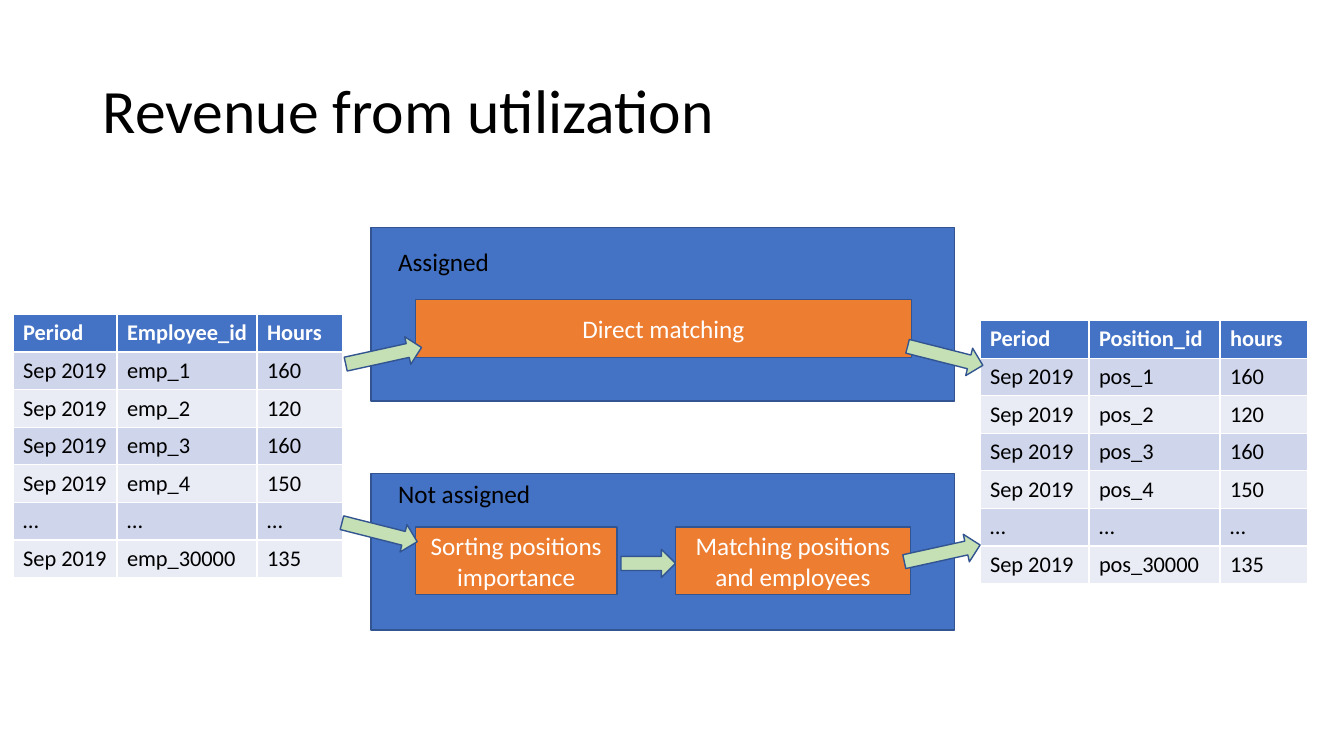
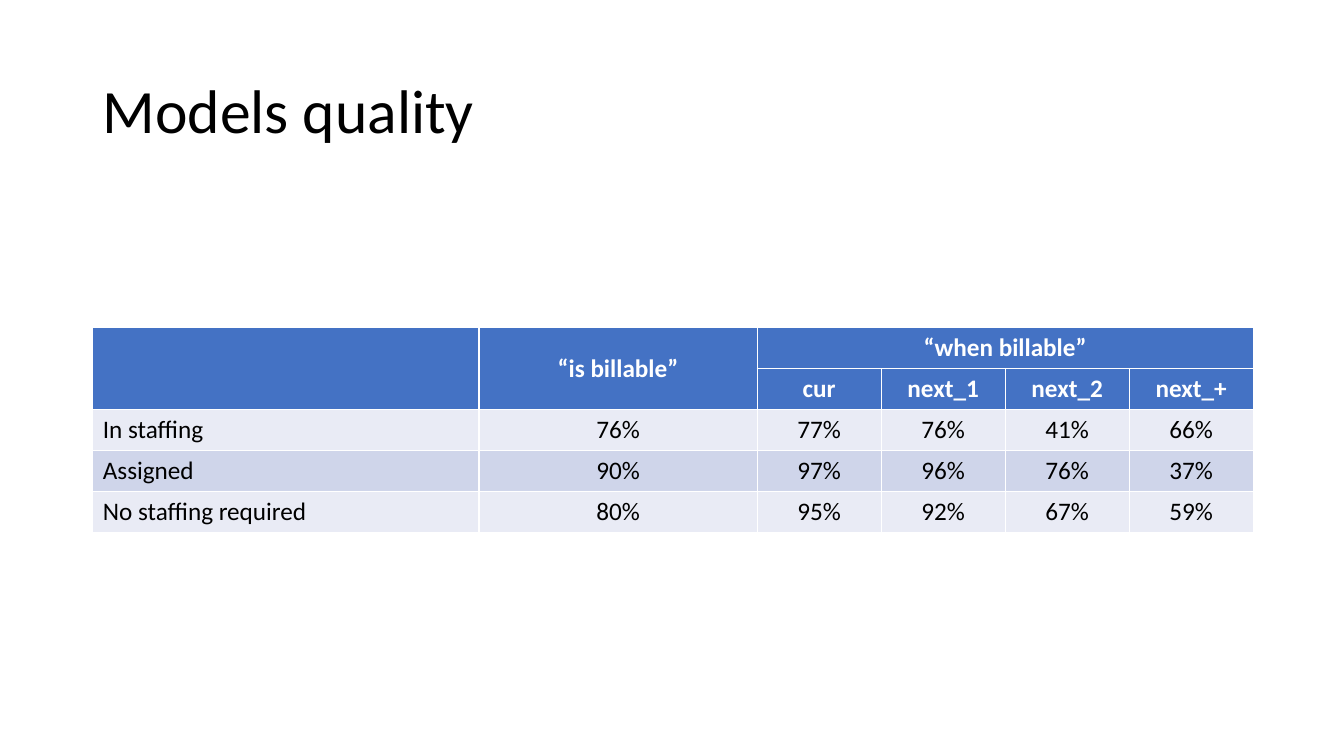
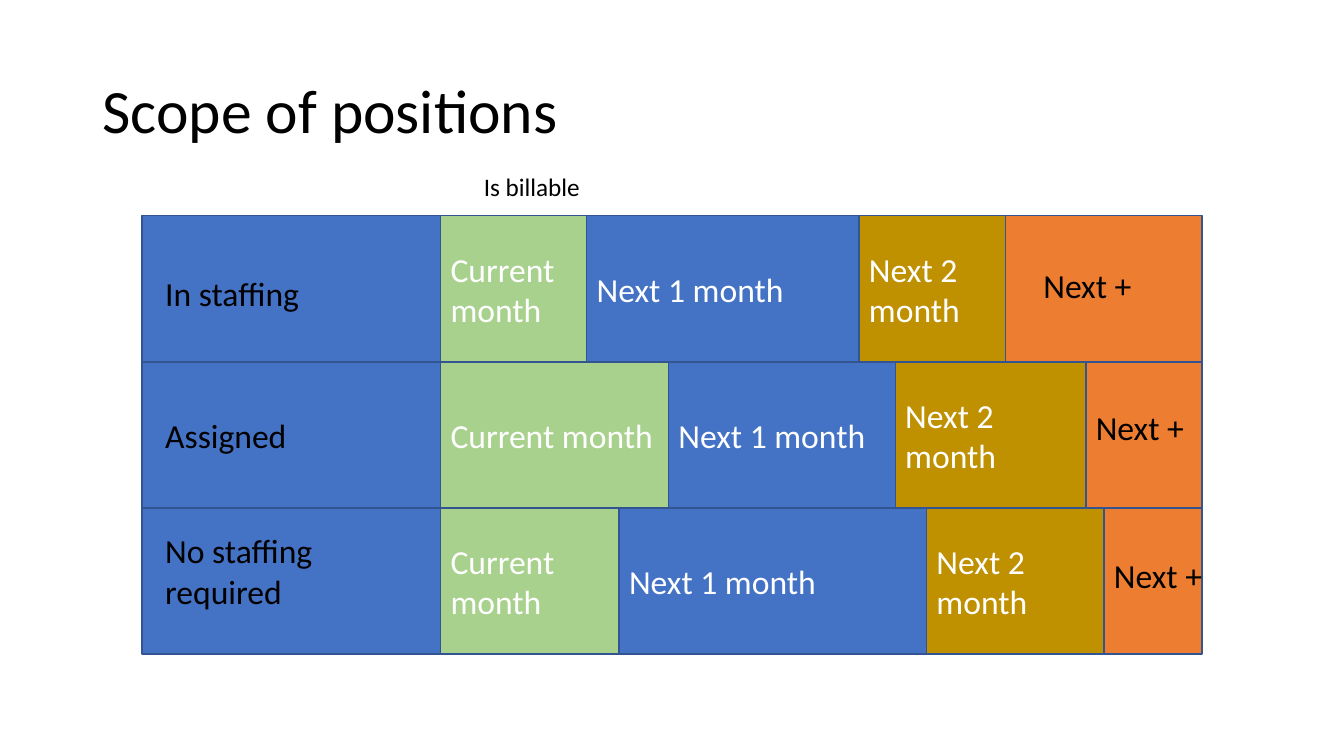
from pptx import Presentation
from pptx.dml.color import RGBColor
from pptx.enum.shapes import MSO_SHAPE as SHAPE
from pptx.enum.text import MSO_ANCHOR as ANCHOR, PP_ALIGN as ALIGN
from pptx.util import Inches, Pt

rgb = RGBColor.from_string
BLACK, WHITE = "000000", "FFFFFF"
BLUE, ORANGE, GOLD, GREEN = "4472C4", "ED7D31", "BF9000", "A9D18E"
PALE_GREEN, OUTLINE = "C5E0B4", "325491"
BANDS = ["CFD5EA", "E9EBF5"]


def write(tf, text, size=18, color=BLACK, bold=False, align=ALIGN.LEFT,
          anchor=ANCHOR.TOP, spacing=1.0):
    tf.word_wrap = True
    tf.vertical_anchor = anchor
    p = tf.paragraphs[0]
    p.alignment = align
    p.line_spacing = spacing
    r = p.add_run()
    r.text = text
    r.font.name = "Calibri"
    r.font.size = Pt(size)
    r.font.bold = bold
    r.font.color.rgb = rgb(color)


def add_box(s, at, fill=None, text="", kind=SHAPE.RECTANGLE, **fmt):
    """Filled shape, or a plain text box when there is no fill."""
    at = [Inches(v) for v in at]
    if fill:
        sp = s.shapes.add_shape(kind, *at)
        sp.shadow.inherit = False
        sp.fill.solid()
        sp.fill.fore_color.rgb = rgb(fill)
        sp.line.color.rgb = rgb(OUTLINE)
        sp.line.width = Pt(1)
    else:
        sp = s.shapes.add_textbox(*at)
    if text:
        write(sp.text_frame, text, **fmt)
    return sp


prs = Presentation()
prs.slide_width, prs.slide_height = Inches(13.33), Inches(7.5)

# Slides with their titles
slides = []
for title in ["Revenue from utilization", "Models quality", "Scope of positions"]:
    s = prs.slides.add_slide(prs.slide_layouts[6])
    add_box(s, (0.92, 0.4, 11.5, 1.45), text=title, size=44,
            anchor=ANCHOR.MIDDLE, spacing=0.9)
    slides.append(s)
revenue, quality, scope = slides

# Table contents
hours = ["160", "120", "160", "150", "…", "135"]
periods = ["Sep 2019"] * 4 + ["…", "Sep 2019"]
numbers = ["1", "2", "3", "4", None, "30000"]
employees = [f"emp_{n}" if n else "…" for n in numbers]
positions = [f"pos_{n}" if n else "…" for n in numbers]
employee_rows = [("Period", "Employee_id", "Hours"), *zip(periods, employees, hours)]
position_rows = [("Period", "Position_id", "hours"), *zip(periods, positions, hours)]
quality_rows = [
    ("", "“is billable”", "“when billable”", "", "", ""),
    ("", "", "cur", "next_1", "next_2", "next_+"),
    ("In staffing", "76%", "77%", "76%", "41%", "66%"),
    ("Assigned", "90%", "97%", "96%", "76%", "37%"),
    ("No staffing required", "80%", "95%", "92%", "67%", "59%"),
]

# Tables: slide, left, top, height, column widths, header rows, text size, merges, rows
tables = [
    (revenue, 9.72, 3.18, 2.61, [1.08, 1.3, 0.87], 1, 16, [], position_rows),
    (revenue, 0.13, 3.12, 2.61, [1.03, 1.39, 0.85], 1, 16, [], employee_rows),
    (quality, 0.92, 3.25, 2.03, [3.83, 2.76] + [1.23] * 4, 2, 18,
     [(0, 0, 1, 0), (0, 1, 1, 1), (0, 2, 0, 5)], quality_rows),
]
for s, left, top, height, widths, heads, size, merges, rows in tables:
    table = s.shapes.add_table(len(rows), len(widths), Inches(left), Inches(top),
                               Inches(sum(widths)), Inches(height)).table
    for column, width in zip(table.columns, widths):
        column.width = Inches(width)
    for i, row in enumerate(rows):
        head = i < heads
        for j, text in enumerate(row):
            cell = table.cell(i, j)
            cell.fill.solid()
            cell.fill.fore_color.rgb = rgb(BLUE if head else BANDS[(i - 1) % 2])
            if text:
                centred = s is quality and j > 0
                write(cell.text_frame, text, size=size, bold=head,
                      color=WHITE if head else BLACK,
                      align=ALIGN.CENTER if centred else ALIGN.LEFT)
            if s is quality:
                cell.vertical_anchor = ANCHOR.MIDDLE
    for r1, c1, r2, c2 in merges:
        table.cell(r1, c1).merge(table.cell(r2, c2))

# Revenue: panels, steps and arrows
for top, height, label_top, label in [(2.26, 1.72, 2.39, "Assigned"),
                                      (4.7, 1.55, 4.7, "Not assigned")]:
    add_box(revenue, (3.68, top, 5.79, height), BLUE)
    add_box(revenue, (3.85, label_top, 2.1, 0.4), text=label)

for at, step in [((4.12, 2.97, 4.92, 0.58), "Direct matching"),
                 ((4.12, 5.23, 2, 0.67), "Sorting positions importance"),
                 ((6.7, 5.23, 2.33, 0.67), "Matching positions and employees")]:
    add_box(revenue, at, ORANGE, step, color=WHITE, align=ALIGN.CENTER,
            anchor=ANCHOR.MIDDLE)

for left, top, width, angle in [(3.42, 3.39, 0.77, -12.4), (3.38, 5.14, 0.77, 14.2),
                                (8.96, 5.35, 0.77, -12.4), (8.99, 3.39, 0.77, 14.2),
                                (6.16, 5.45, 0.54, 0)]:
    arrow = add_box(revenue, (left, top, width, 0.28), PALE_GREEN, kind=SHAPE.RIGHT_ARROW)
    arrow.rotation = angle

# Scope: one band per kind of position, split by month
add_box(scope, (4.7, 1.65, 3.13, 0.4), text="Is billable")
months = [("Current month", GREEN), ("Next 1 month", BLUE), ("Next 2 month", GOLD)]
BAND_H, BAND_LEFT, MONTHS_LEFT, BAND_RIGHT = 1.45, 1.41, 4.37, 11.92
bands = [
    ("In staffing", (1.54, 2.66, 1.96, 0.5), [1.45, 2.7, 1.45], (10.25, 2.58, 1.96, 0.5)),
    ("Assigned", (1.54, 4.07, 1.96, 0.5), [2.26, 2.25, 1.89], (10.77, 3.99, 1.44, 0.5)),
    ("No staffing required", (1.54, 5.21, 1.96, 0.91), [1.77, 3.05, 1.76],
     (10.95, 5.46, 1.1, 0.5)),
]
for i, (label, label_at, widths, later_at) in enumerate(bands):
    top = 2.14 + i * BAND_H
    for left, fill in [(BAND_LEFT, BLUE), (MONTHS_LEFT, ORANGE)]:
        add_box(scope, (left, top, BAND_RIGHT - left, BAND_H), fill)
    add_box(scope, label_at, text=label, size=24)
    left = MONTHS_LEFT
    for (month, fill), width in zip(months, widths):
        add_box(scope, (left, top, width, BAND_H), fill, month, size=24,
                color=WHITE, anchor=ANCHOR.MIDDLE)
        left += width
    add_box(scope, later_at, text="Next +", size=24)

prs.save("out.pptx")
